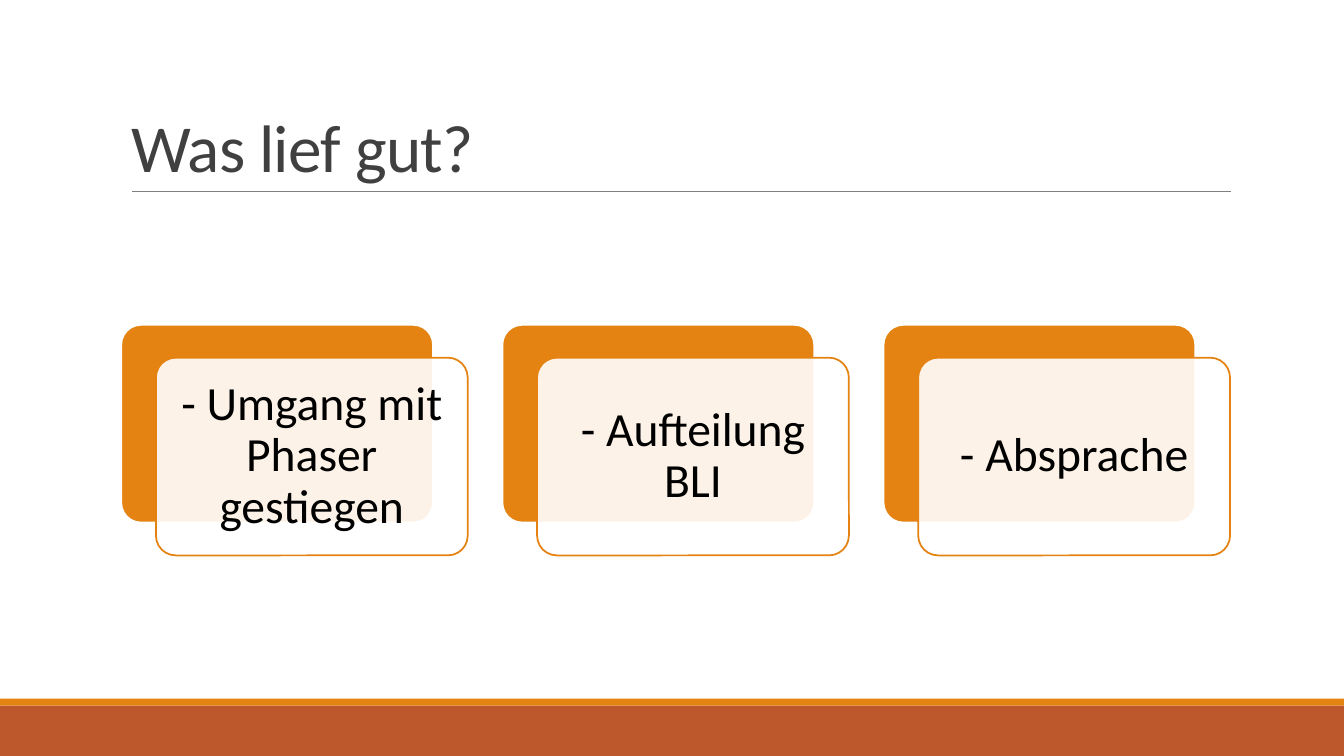
from pptx import Presentation
from pptx.dml.color import RGBColor
from pptx.enum.shapes import MSO_CONNECTOR, MSO_SHAPE
from pptx.enum.text import MSO_ANCHOR, MSO_AUTO_SIZE, PP_ALIGN
from pptx.oxml.ns import qn
from pptx.util import Inches, Pt
from lxml.etree import SubElement

ORANGE, RUST, WHITE, BLACK = "E48312", "BD582C", "FFFFFF", "000000"
DARK_GRAY, GRAY = "404040", "808080"
TITLE_ONLY = 5


def color(hex_value):
    return RGBColor.from_string(hex_value)


class SlideBuilder:
    """Draws on one slide; lengths are percentages of its width and height."""

    font_name = "Calibri"

    def __init__(self, presentation):
        self.column = presentation.slide_width / 100
        self.row = presentation.slide_height / 100
        self.slide = presentation.slides.add_slide(presentation.slide_layouts[TITLE_ONLY])

    def place(self, left, top, width, height):
        return (round(left * self.column), round(top * self.row),
                round(width * self.column), round(height * self.row))

    def set_text(self, shape, text, size, font_color, align, anchor, line_spacing):
        frame = shape.text_frame
        frame.text = text
        frame.word_wrap = True
        frame.auto_size = MSO_AUTO_SIZE.NONE
        frame.vertical_anchor = anchor
        paragraph = frame.paragraphs[0]
        paragraph.alignment = align
        paragraph.line_spacing = line_spacing
        font = paragraph.runs[0].font
        font.name, font.size = self.font_name, Pt(size)
        font.color.rgb = color(font_color)

    def title(self, text, *box):
        shape = self.slide.shapes.title
        shape.left, shape.top, shape.width, shape.height = self.place(*box)
        self.set_text(shape, text, 48, DARK_GRAY, PP_ALIGN.LEFT, MSO_ANCHOR.BOTTOM, 0.85)
        run = shape.text_frame.paragraphs[0].runs[0]
        run.font._element.set("spc", "-50")

    def block(self, kind, fill, *box, line=None):
        shape = self.slide.shapes.add_shape(kind, *self.place(*box))
        shape.shadow.inherit = False
        shape.fill.solid()
        shape.fill.fore_color.rgb = color(fill)
        if line:
            shape.line.color.rgb = color(line)
            shape.line.width = Pt(1.25)
        else:
            shape.line.fill.background()
        return shape

    def rule(self, left, right, top):
        x1, y, width, _ = self.place(left, top, right - left, 0)
        line = self.slide.shapes.add_connector(MSO_CONNECTOR.STRAIGHT, x1, y, x1 + width, y)
        line.line.color.rgb = color(GRAY)
        line.line.width = Pt(0.5)
        SubElement(line._element.spPr, qn("a:effectLst"))

    def card(self, text, left, top, width=23.2, height=26.15):
        """An orange panel with a translucent text panel shifted down and right."""
        panels = ((ORANGE, WHITE, 0, 0), (WHITE, ORANGE, 2.58, 4.35))
        for fill, line, shift_x, shift_y in panels:
            panel = self.block(MSO_SHAPE.ROUNDED_RECTANGLE, fill, left + shift_x,
                               top + shift_y, width, height, line=line)
            panel.adjustments[0] = 0.1
        fill_color = panel._element.spPr.find(qn("a:solidFill"))[0]
        SubElement(fill_color, qn("a:alpha"), val="90000")
        self.set_text(panel, text, 34, BLACK, PP_ALIGN.CENTER, MSO_ANCHOR.MIDDLE, 0.9)
        frame = panel.text_frame
        frame.margin_left = frame.margin_right = Inches(0.14)
        frame.margin_top = frame.margin_bottom = Inches(0.14)


def main():
    presentation = Presentation()
    presentation.slide_width, presentation.slide_height = Inches(13.33), Inches(7.5)
    builder = SlideBuilder(presentation)

    builder.block(MSO_SHAPE.RECTANGLE, RUST, 0, 93.33, 100, 6.67)
    builder.block(MSO_SHAPE.RECTANGLE, ORANGE, 0, 92.4, 100, 0.93)
    builder.rule(9.83, 91.6, 25.33)
    builder.title("Was lief gut?", 9, 4.13, 82.5, 21.2)

    strengths = ("- Umgang mit Phaser gestiegen", "- Aufteilung BLI", "- Absprache")
    for index, strength in enumerate(strengths):
        builder.card(strength, 9.02 + index * 28.36, 42.97)

    presentation.save("out.pptx")


if __name__ == "__main__":
    main()
